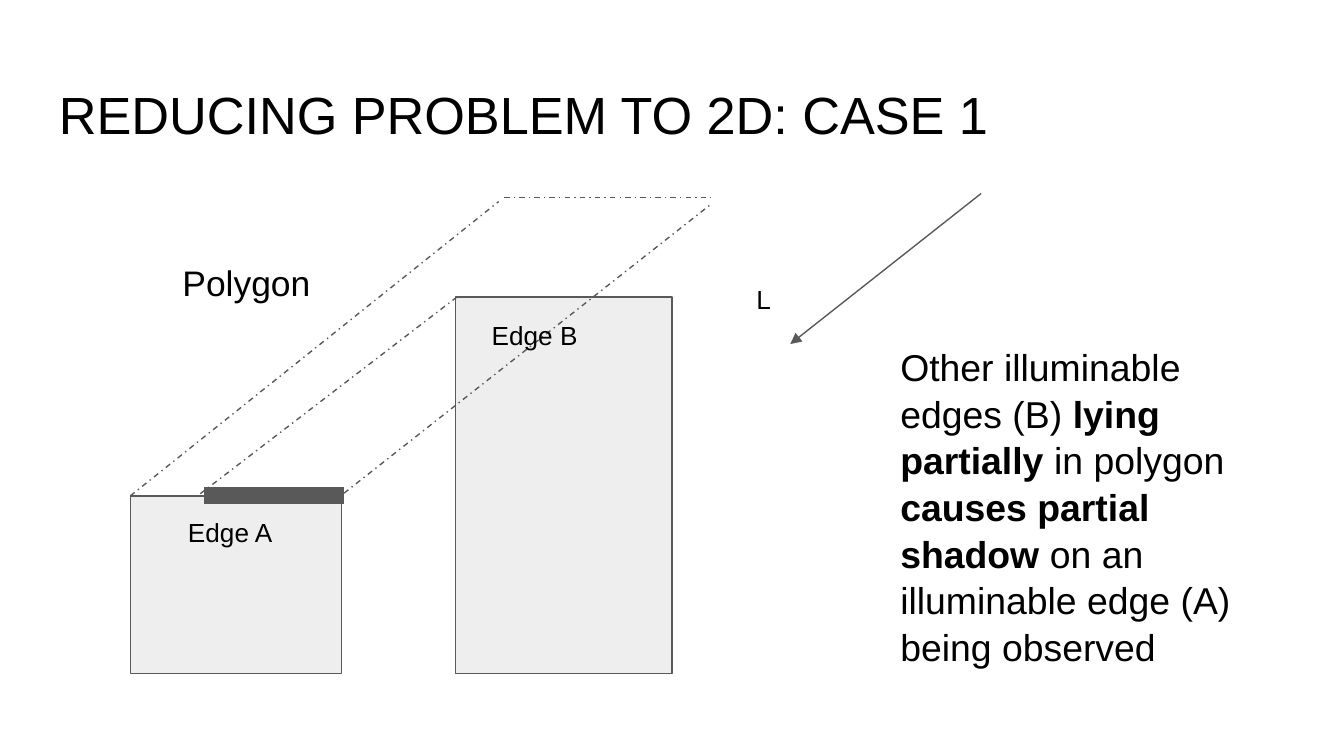
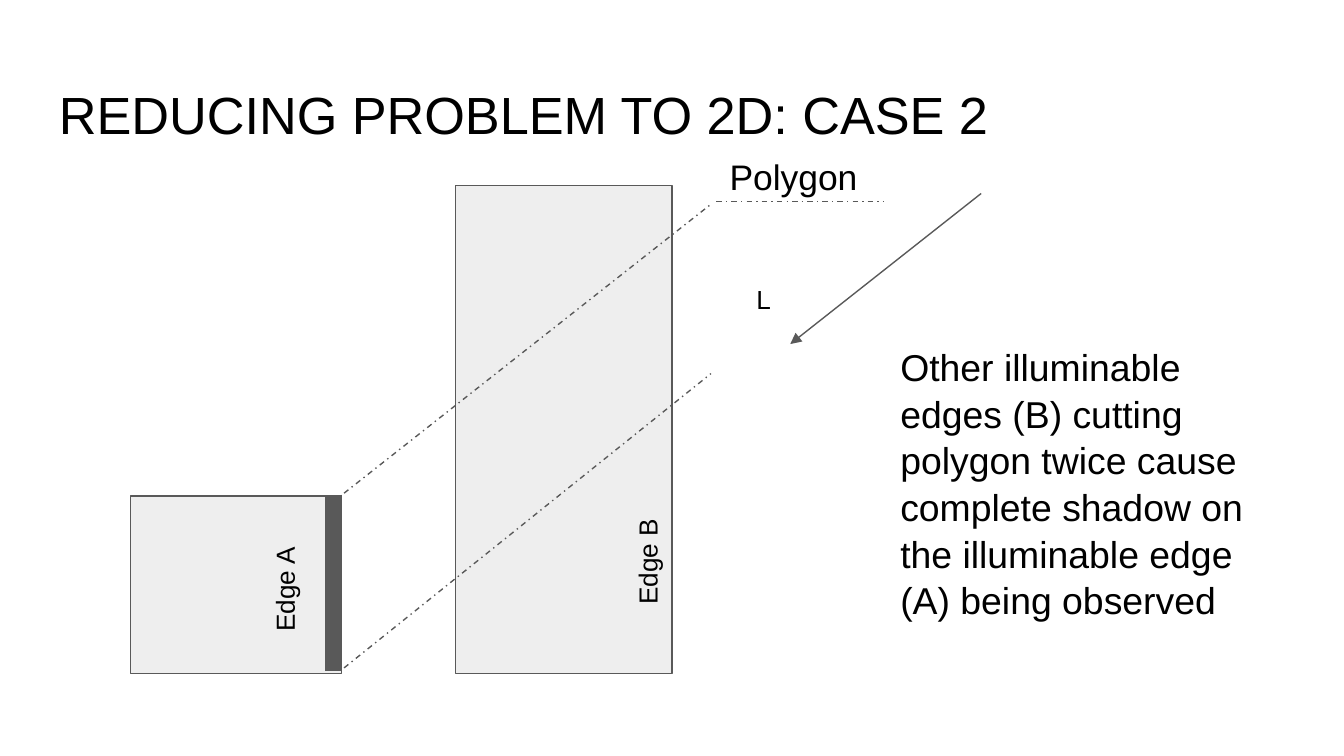
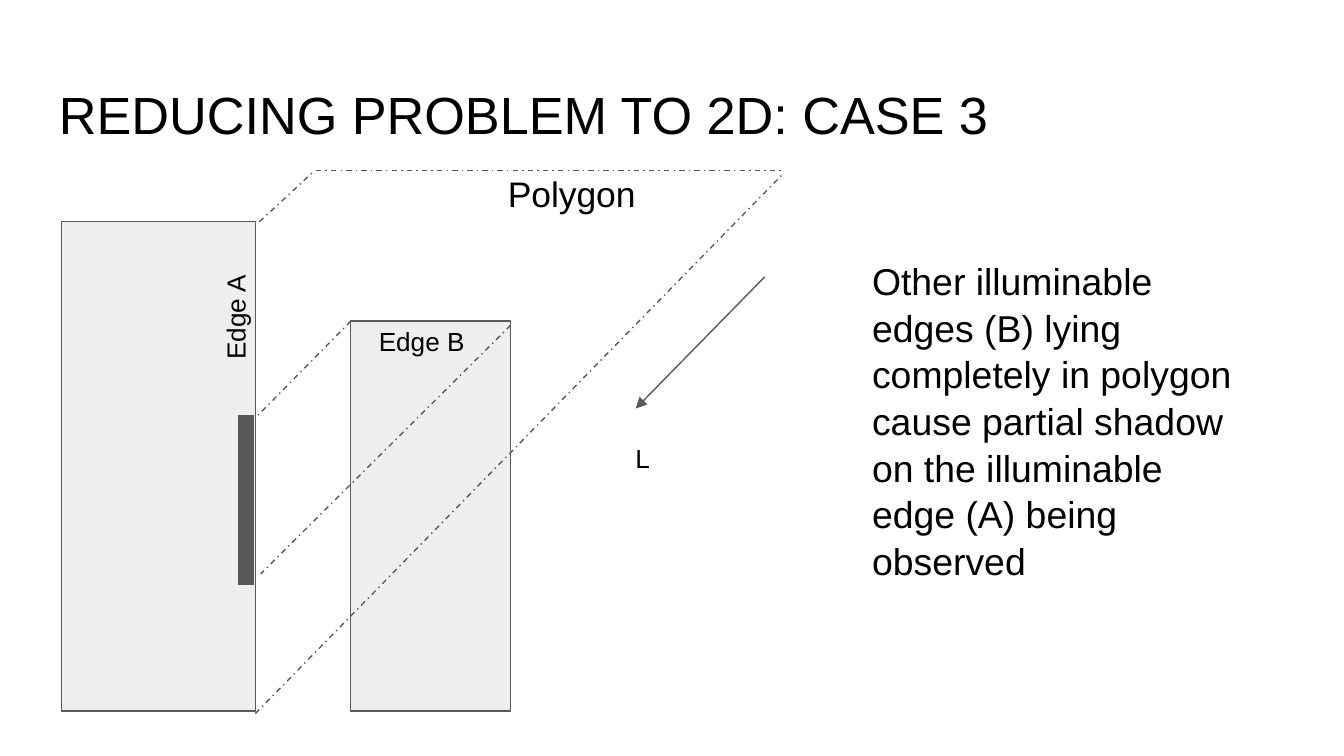
"""Build three slides on how edge B shadows edge A under light L."""
import dataclasses

import pptx
import pptx.dml.color
import pptx.enum.dml
import pptx.enum.shapes
import pptx.enum.text
import pptx.oxml.ns
import pptx.util
from lxml import etree


@dataclasses.dataclass(frozen=True)
class Theme:
    font: str = "Arial"
    ink: str = "000000"
    building: str = "EEEEEE"
    outline: str = "595959"
    title: int = 28
    explanation: int = 20
    polygon: int = 19
    label: int = 14
    thin: float = 0.75
    thick: float = 9
    leading: float = 1.04


theme = Theme()
deck = pptx.Presentation()
deck.slide_width = pptx.util.Inches(10)
deck.slide_height = pptx.util.Inches(5.625)
cell = deck.slide_width / 100
DASHED = pptx.enum.dml.MSO_LINE.DASH_DOT


def write(slide, area, runs, size, turn=0):
    box = slide.shapes.add_textbox(*(round(n * cell) for n in area))
    box.rotation = turn
    frame = box.text_frame
    frame.word_wrap = True
    frame.vertical_anchor = pptx.enum.text.MSO_ANCHOR.TOP
    frame.margin_left = frame.margin_right = round(cell)
    frame.margin_top = frame.margin_bottom = round(cell)
    paragraph = frame.paragraphs[0]
    paragraph.line_spacing = theme.leading
    for words, bold in runs:
        run = paragraph.add_run()
        run.text = words
        run.font.name = theme.font
        run.font.size = pptx.util.Pt(size)
        run.font.bold = bold
        run.font.color.rgb = pptx.dml.color.RGBColor.from_string(theme.ink)


def draw_line(slide, ends, weight=theme.thin, dash=None, arrow=False):
    line = slide.shapes.add_connector(
        pptx.enum.shapes.MSO_CONNECTOR.STRAIGHT, *(round(n * cell) for n in ends))
    line.line.color.rgb = pptx.dml.color.RGBColor.from_string(theme.outline)
    line.line.width = pptx.util.Pt(weight)
    if dash:
        line.line.dash_style = dash
    properties = line._element.spPr
    if arrow:
        stroke = properties.find(pptx.oxml.ns.qn("a:ln"))
        etree.SubElement(stroke, pptx.oxml.ns.qn("a:tailEnd"), type="triangle")
    etree.SubElement(properties, pptx.oxml.ns.qn("a:effectLst"))


low_building = (9.7, 36.9, 15.7, 13.2)
right_light = (73, 14.4, 58.8, 25.6)
right_light_label = (55.3, 20, 4.8, 3.4)
right_explanation = (66, 24.5, 29.1, 25.5)
corner_ray = (25.6, 36.7, 52.9, 15.2)

cases = [
    dict(
        buildings=[low_building, (33.9, 22.1, 16.1, 28)],
        light=right_light,
        rays=[corner_ray, (9.7, 36.9, 37.1, 15), (37.5, 14.7, 52.9, 14.7),
              (34, 22.1, 14.7, 36.9)],
        shadow=(15.2, 36.9, 25.6, 36.9),
        light_label=right_light_label,
        polygon=(12.6, 18.3),
        edges=[("Edge A", (13, 37.3, 9.1, 2.9), 0),
               ("Edge B", (35.6, 22.7, 9.1, 2.9), 0)],
        explanation_area=right_explanation,
        explanation=[("Other illuminable edges (B) ", False),
                     ("lying partially ", True),
                     ("in polygon ", False),
                     ("causes partial shadow", True),
                     (" on an illuminable edge (A) being observed", False)],
    ),
    dict(
        buildings=[low_building, (33.9, 13.8, 16.1, 36.3)],
        light=right_light,
        rays=[corner_ray, (25.6, 49.7, 52.9, 27.8), (53.3, 15, 65.8, 15)],
        shadow=(24.8, 36.8, 24.8, 49.9),
        light_label=right_light_label,
        polygon=(53.3, 10.4),
        edges=[("Edge A", (15.8, 42, 9.1, 2.9), 270),
               ("Edge B", (42.8, 40, 9.1, 2.9), 270)],
        explanation_area=right_explanation,
        explanation=[("Other illuminable edges (B) cutting polygon twice cause complete "
                      "shadow on the illuminable edge (A) being observed", False)],
    ),
    dict(
        buildings=[(4.6, 16.5, 14.4, 36.4), (26.1, 23.9, 11.9, 29)],
        light=(56.9, 20.6, 47.3, 30.4),
        rays=[(19, 53.1, 58.2, 13), (19.3, 16.5, 23.3, 12.8), (23.5, 12.7, 58.2, 12.7),
              (38, 24.2, 19.4, 42.7), (26.1, 23.9, 19.2, 30.9)],
        shadow=(18.3, 30.9, 18.3, 43.5),
        light_label=(46.3, 31.8, 4, 3.7),
        polygon=(36.8, 11.7),
        edges=[("Edge A", (12.8, 20.6, 9.6, 4.7), 270),
               ("Edge B", (27.2, 23.1, 9.6, 4.7), 0)],
        explanation_area=(63.9, 18.1, 29.1, 25.5),
        explanation=[("Other illuminable edges (B) lying completely in polygon cause partial "
                      "shadow on the illuminable edge (A) being observed", False)],
    ),
]

for number, case in enumerate(cases, 1):
    slide = deck.slides.add_slide(deck.slide_layouts[6])
    write(slide, (3.4, 4.9, 93.2, 6.3),
          [(f"REDUCING PROBLEM TO 2D: CASE {number}", False)], theme.title)
    for area in case["buildings"]:
        building = slide.shapes.add_shape(
            pptx.enum.shapes.MSO_SHAPE.RECTANGLE, *(round(n * cell) for n in area))
        building.shadow.inherit = False
        building.fill.solid()
        building.fill.fore_color.rgb = pptx.dml.color.RGBColor.from_string(theme.building)
        building.line.color.rgb = pptx.dml.color.RGBColor.from_string(theme.outline)
        building.line.width = pptx.util.Pt(theme.thin)
    draw_line(slide, case["light"], arrow=True)
    for ray in case["rays"]:
        draw_line(slide, ray, dash=DASHED)
    draw_line(slide, case["shadow"], weight=theme.thick)
    write(slide, case["light_label"], [("L", False)], theme.label)
    write(slide, case["explanation_area"], case["explanation"], theme.explanation)
    write(slide, (*case["polygon"], 12.6, 3.4), [("Polygon", False)], theme.polygon)
    for edge, area, turn in case["edges"]:
        write(slide, area, [(edge, False)], theme.label, turn)

deck.save("out.pptx")
